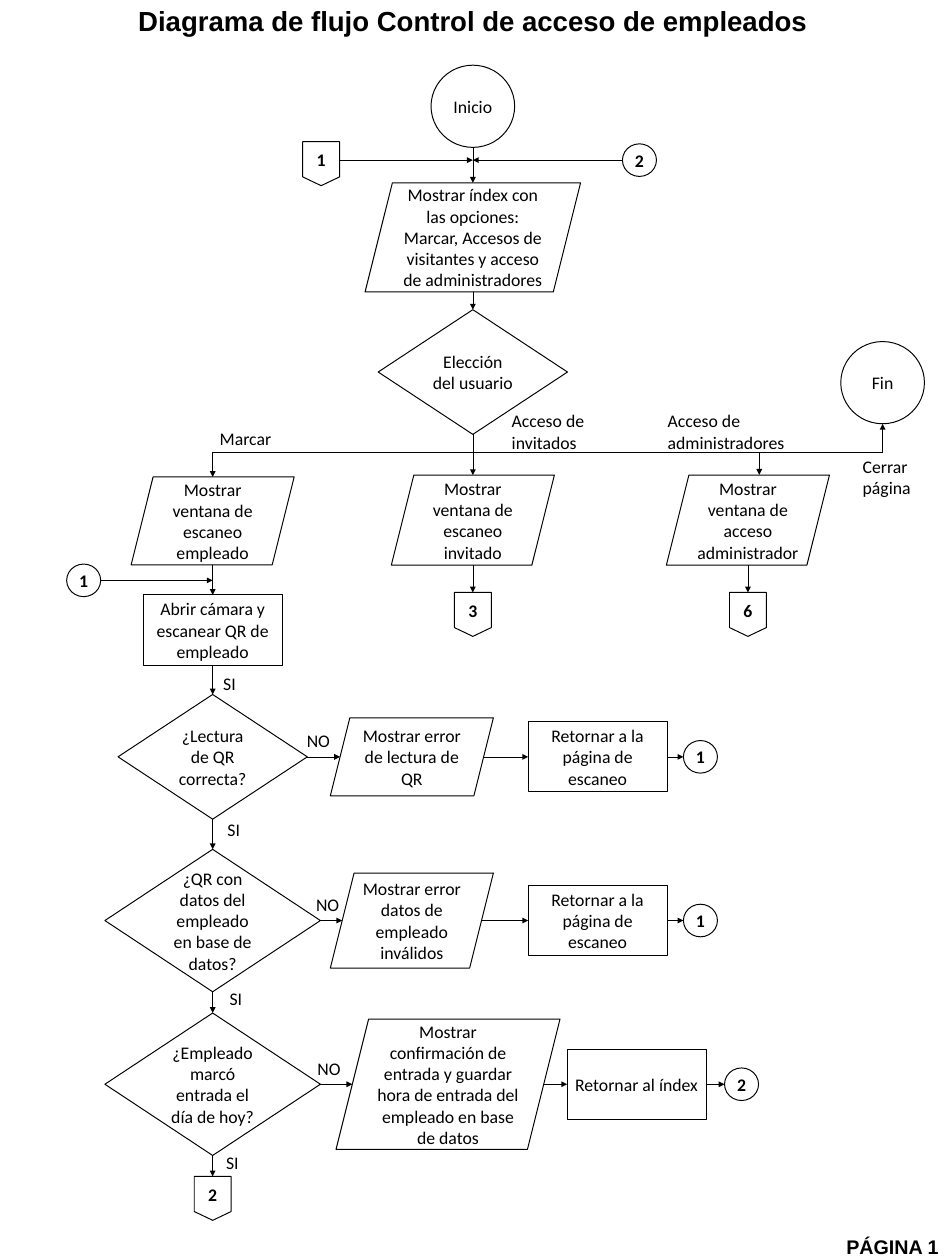
"""Build the employee access control flowchart slide."""
from pptx import Presentation
from pptx.dml.color import RGBColor
from pptx.enum.shapes import MSO_CONNECTOR, MSO_SHAPE
from pptx.enum.text import MSO_ANCHOR, MSO_AUTO_SIZE, PP_ALIGN
from pptx.oxml.ns import qn
from pptx.util import Inches, Pt
from lxml.etree import SubElement

TITLE = "Diagrama de flujo Control de acceso de empleados"
FOOTER = "PÁGINA 1"
BLACK = "000000"
LEFT, MID, RIGHT, END = 3, 6.67, 10.55, 12.45
READ, DATA, ENTRY = 10.68, 12.99, 15.3
BUS = 6.38

ROUND, DATABOX, CHOICE = MSO_SHAPE.OVAL, MSO_SHAPE.PARALLELOGRAM, MSO_SHAPE.FLOWCHART_DECISION
STEP, PAGE = MSO_SHAPE.RECTANGLE, MSO_SHAPE.FLOWCHART_OFFPAGE_CONNECTOR
END_SIZE, STEP_SIZE, DOT_SIZE, PAGE_SIZE = (1.18, 1.16), (1.96, 0.99), (0.48, 0.46), (0.52, 0.62)

# name: kind, centre x, centre y, size, text
NODES = {
    "start": (ROUND, MID, 1.5, END_SIZE, "Inicio"),
    "end": (ROUND, END, 5.4, END_SIZE, "Fin"),
    "index": (DATABOX, MID, 3.35, (3.04, 1.54),
              "Mostrar índex con las opciones: Marcar, Accesos de visitantes y acceso de administradores"),
    "choice": (CHOICE, MID, 5.25, (2.67, 1.76), "Elección del usuario"),
    "staff": (DATABOX, LEFT, 7.35, (2.3, 1.24), "Mostrar ventana de escaneo empleado"),
    "guest": (DATABOX, MID, 7.34, (2.3, 1.27), "Mostrar ventana de escaneo invitado"),
    "admin": (DATABOX, RIGHT, 7.34, (2.3, 1.27), "Mostrar ventana de acceso administrador"),
    "scan": (STEP, LEFT, 8.89, STEP_SIZE, "Abrir cámara y escanear QR de empleado"),
    "read": (CHOICE, LEFT, READ, (2.67, 1.76), "¿Lectura de QR correcta?"),
    "data": (CHOICE, LEFT, DATA, (3.04, 2.01), "¿QR con datos del empleado en base de datos?"),
    "entry": (CHOICE, LEFT, ENTRY, (3.04, 2.01), "¿Empleado marcó entrada el día de hoy?"),
    "read error": (DATABOX, 5.81, READ, (2.3, 1.1), "Mostrar error de lectura de QR"),
    "data error": (DATABOX, 5.81, DATA, (2.3, 1.34), "Mostrar error datos de empleado inválidos"),
    "confirm": (DATABOX, 6.32, ENTRY, (3.16, 1.84),
                "Mostrar confirmación de entrada y guardar hora de entrada del empleado en base de datos"),
    "read back": (STEP, 8.43, READ, STEP_SIZE, "Retornar a la página de escaneo"),
    "data back": (STEP, 8.43, DATA, STEP_SIZE, "Retornar a la página de escaneo"),
    "index back": (STEP, 8.98, ENTRY, STEP_SIZE, "Retornar al índex"),
    "read dot": (ROUND, 9.88, READ, DOT_SIZE, "1"),
    "data dot": (ROUND, 9.88, DATA, DOT_SIZE, "1"),
    "entry dot": (ROUND, 10.46, ENTRY, DOT_SIZE, "2"),
    "scan dot": (ROUND, 1.18, 8.19, DOT_SIZE, "1"),
    "index dot": (ROUND, 9.02, 2.26, DOT_SIZE, "2"),
    "from page": (PAGE, 4.53, 2.31, PAGE_SIZE, "1"),
    "guest page": (PAGE, MID, 8.67, PAGE_SIZE, "3"),
    "admin page": (PAGE, RIGHT, 8.67, PAGE_SIZE, "6"),
    "entry page": (PAGE, LEFT, 16.91, PAGE_SIZE, "2"),
}

DOWN = [
    ("start", "index", "choice", "guest", "guest page"),
    ("staff", "scan", "read", "data", "entry", "entry page"),
    ("admin", "admin page"),
]
ACROSS = [
    ("read", "read error", "read back", "read dot"),
    ("data", "data error", "data back", "data dot"),
    ("entry", "confirm", "index back", "entry dot"),
]
# x, y, width, text
LABELS = [
    (3, 5.99, 1.11, "Marcar"), (7.12, 5.74, 1.63, "Acceso de invitados"),
    (9.32, 5.74, 1.96, "Acceso de administradores"), (12.07, BUS, 1.18, "Cerrar página"),
    (4.23, 10.25, 0.63, "NO"), (4.36, 12.56, 0.63, "NO"), (4.38, 14.88, 0.63, "NO"),
    (3.05, 9.45, 0.63, "SI"), (3.11, 11.51, 0.63, "SI"),
    (3.14, 13.89, 0.63, "SI"), (3.09, 16.2, 0.63, "SI"),
]


def color(code):
    return RGBColor.from_string(code)


def write(shape, text, size=18, font="Calibri", bold=False, align=PP_ALIGN.LEFT, anchor=MSO_ANCHOR.TOP):
    frame = shape.text_frame
    frame.word_wrap = True
    frame.auto_size = MSO_AUTO_SIZE.NONE
    frame.vertical_anchor = anchor
    line = frame.paragraphs[0]
    line.alignment = align
    run = line.add_run()
    run.text = text
    run.font.size, run.font.name, run.font.bold = Pt(size), font, bold
    run.font.color.rgb = color(BLACK)


def add_node(slide, kind, x, y, size, text):
    wide, high = size
    shape = slide.shapes.add_shape(kind, Inches(x - wide / 2), Inches(y - high / 2), Inches(wide), Inches(high))
    shape.shadow.inherit = False
    shape.fill.background()
    shape.line.color.rgb = color(BLACK)
    shape.line.width = Pt(1)
    write(shape, text, bold=text.isdigit(), align=PP_ALIGN.CENTER, anchor=MSO_ANCHOR.MIDDLE)


def add_label(slide, x, y, wide, high, text, **look):
    box = slide.shapes.add_textbox(Inches(x), Inches(y), Inches(wide), Inches(high))
    write(box, text, **look)


def add_line(slide, start, stop, arrow=True):
    ends = [Inches(value) for value in (*start, *stop)]
    link = slide.shapes.add_connector(MSO_CONNECTOR.STRAIGHT, *ends)
    link.line.color.rgb = color(BLACK)
    link.line.width = Pt(0.5)
    if arrow:
        SubElement(link.line._get_or_add_ln(), qn("a:tailEnd"), type="triangle")
    SubElement(link._element.spPr, qn("a:effectLst"))


def side(name, way):
    kind, x, y, (wide, high), text = NODES[name]
    slant = min(wide, high) / 8 if kind == DATABOX else 0
    return x + way * (wide / 2 - slant), y


def edge(name, way):
    kind, x, y, (wide, high), text = NODES[name]
    return x, y + way * high / 2


def main():
    deck = Presentation()
    deck.slide_width, deck.slide_height = Inches(13.33), Inches(17.78)
    slide = deck.slides.add_slide(deck.slide_layouts[5])

    title = slide.shapes.title
    title.left, title.top, title.width, title.height = 0, 0, Inches(13.33), Inches(0.57)
    write(title, TITLE, size=28, font="Arial", bold=True, align=PP_ALIGN.CENTER)

    for node in NODES.values():
        add_node(slide, *node)
    for chain in DOWN:
        for above, below in zip(chain, chain[1:]):
            add_line(slide, edge(above, 1), edge(below, -1))
    for chain in ACROSS:
        for first, second in zip(chain, chain[1:]):
            add_line(slide, side(first, 1), side(second, -1))

    add_line(slide, (LEFT, BUS), (END, BUS), arrow=False)
    add_line(slide, (LEFT, BUS), edge("staff", -1))
    add_line(slide, (10.71, BUS), (10.71, 6.7))
    add_line(slide, (END, BUS), edge("end", 1))
    add_line(slide, side("scan dot", 1), (LEFT, 8.19))
    add_line(slide, side("index dot", -1), (MID, 2.26))
    add_line(slide, (4.79, 2.26), (MID, 2.26))

    for x, y, wide, text in LABELS:
        add_label(slide, x, y, wide, 0.71 if " " in text else 0.4, text)
    add_label(slide, 11.04, 17.37, 2.3, 0.44, FOOTER, size=20, font="Arial", bold=True, align=PP_ALIGN.RIGHT)
    deck.save("out.pptx")


if __name__ == "__main__":
    main()
